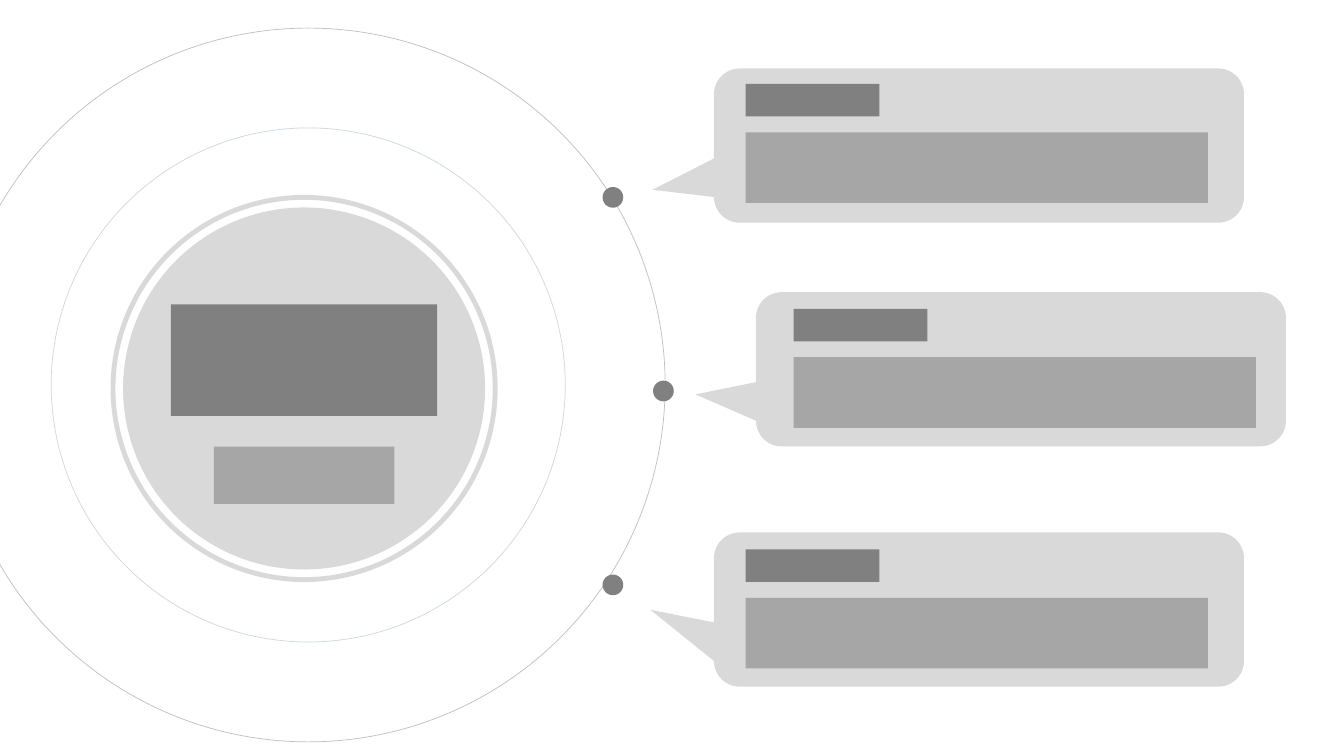
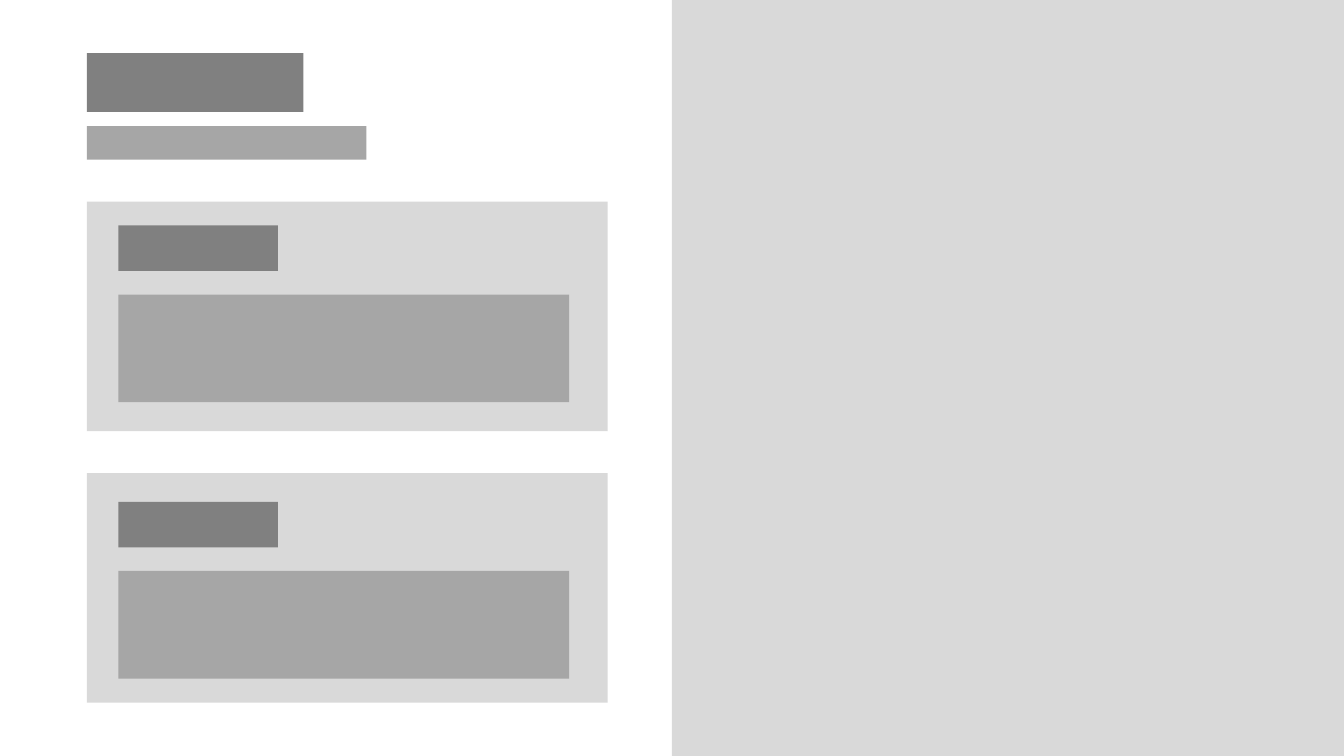
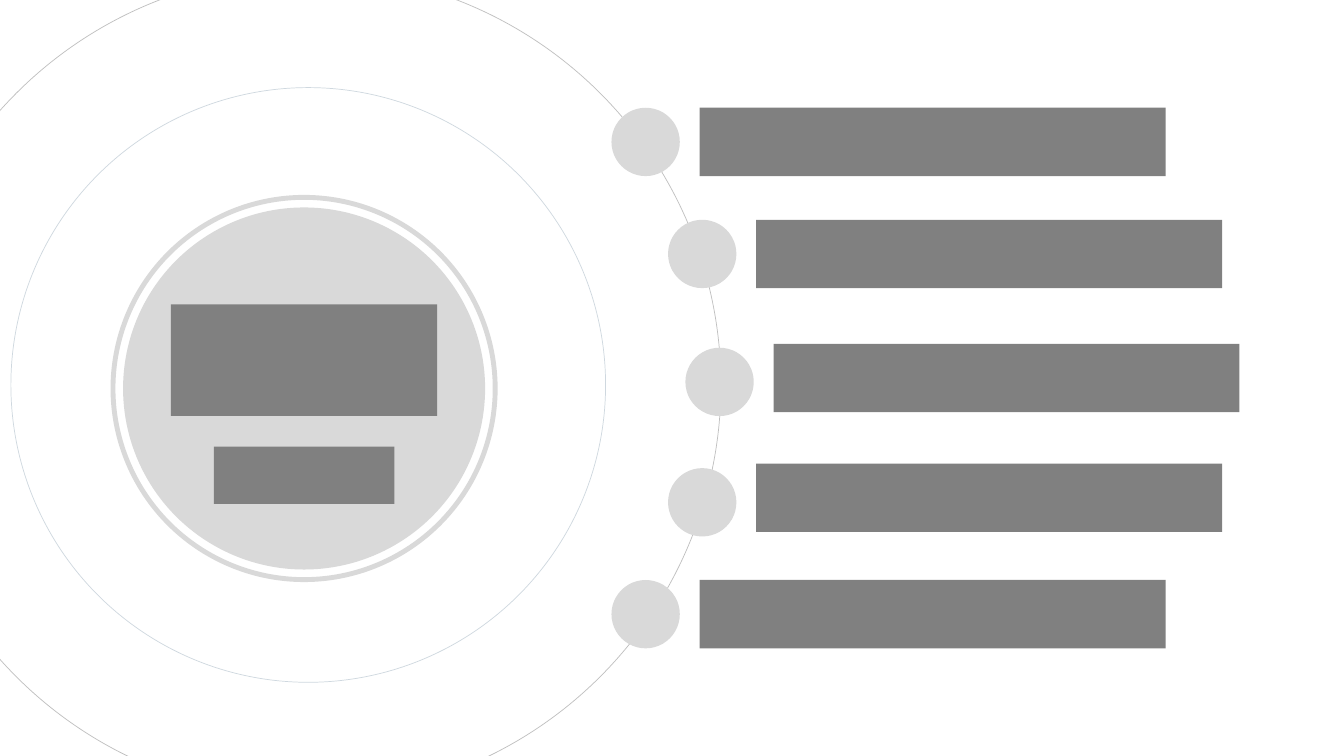
from pptx import Presentation
from pptx.dml.color import RGBColor
from pptx.enum.shapes import MSO_SHAPE
from pptx.util import Pt

# Shared colours
LIGHT = RGBColor(0xD9, 0xD9, 0xD9)
MID = RGBColor(0xA6, 0xA6, 0xA6)
DARK = RGBColor(0x80, 0x80, 0x80)
OUTER_LINE = RGBColor(0xBF, 0xBF, 0xBF)
INNER_LINE = RGBColor(0xCF, 0xD8, 0xDF)

WIDTH, HEIGHT = 960, 540

# Circle emblem: centres, and disc diameters
RING_CENTER = (220.2, 275)
DISC_CENTER = (217.2, 277.5)
RIM, DISC = 273, 258.6

# Slide 1: ring diameters, dots, callouts
CALLOUT_RINGS = (367.2, 509.8)
DOT = 14.8
DOT_CENTERS = [(437.8, 141), (473.9, 279.3), (437.8, 417.8)]
CALLOUT = (378.6, 110.2)
# left, top, pointer tip, inset of the heading
CALLOUTS = [
    (510, 48.9, (-0.616, 0.287), (22.6, 11.1)),
    (540, 208.7, (-0.614, 0.163), (26.9, 12)),
    (510, 380.3, (-0.62, 0.002), (22.6, 12.2)),
]

# Slide 2: cards as top and heading offset
MARGIN = 62
CARDS = [(144, 17), (338, 20.4)]

# Slide 3: ring diameters, then node left, node top, bar top
LIST_RINGS = (424.8, 589.6)
NODE = 48.8
BAR_WIDTH, BAR_OFFSET = 332.8, 63
ITEMS = [
    (436.8, 77, 77),
    (477.2, 157, 157),
    (489.6, 248.4, 245.7),
    (477.2, 334.4, 331.2),
    (436.8, 414.3, 414.3),
]


def add_shape(s, kind, x, y, w, h, fill=None, line=None, weight=0.5):
    sp = s.shapes.add_shape(kind, Pt(x), Pt(y), Pt(w), Pt(h))
    sp.shadow.inherit = False
    if fill is None:
        sp.fill.background()
    else:
        sp.fill.solid()
        sp.fill.fore_color.rgb = fill
    if line is None:
        sp.line.fill.background()
    else:
        sp.line.color.rgb = line
        sp.line.width = Pt(weight)
    return sp


def add_rect(s, x, y, w, h, fill):
    return add_shape(s, MSO_SHAPE.RECTANGLE, x, y, w, h, fill)


def add_circle(s, center, d, **style):
    x, y = center
    return add_shape(s, MSO_SHAPE.OVAL, x - d / 2, y - d / 2, d, d, **style)


def add_emblem(s, rings, subtitle_fill):
    for d, color in zip(rings, (INNER_LINE, OUTER_LINE)):
        add_circle(s, RING_CENTER, d, line=color)
    add_circle(s, DISC_CENTER, RIM, line=LIGHT, weight=3.5)
    add_circle(s, DISC_CENTER, DISC, fill=LIGHT)
    for y, w, h, fill in [(217.4, 190.2, 79.7, DARK), (319, 129, 41, subtitle_fill)]:
        add_rect(s, DISC_CENTER[0] - w / 2, y, w, h, fill)


def callout_slide(s):
    add_emblem(s, CALLOUT_RINGS, MID)
    for center in DOT_CENTERS:
        add_circle(s, center, DOT, fill=DARK)
    for x, y, tip, (dx, dy) in CALLOUTS:
        sp = add_shape(s, MSO_SHAPE.ROUNDED_RECTANGULAR_CALLOUT, x, y, *CALLOUT, LIGHT)
        for i, value in enumerate((*tip, 0.167)):
            sp.adjustments[i] = value
        add_rect(s, x + dx, y + dy, 95.5, 23.2, DARK)
        add_rect(s, x + dx, y + dy + 34.5, 330.3, 50.4, MID)


def card_slide(s):
    # Right half and heading
    add_rect(s, WIDTH / 2, 0, WIDTH / 2, HEIGHT, LIGHT)
    add_rect(s, MARGIN, 38, 154.8, 41.9, DARK)
    add_rect(s, MARGIN, 90, 199.8, 24, MID)
    # Cards
    for y, dy in CARDS:
        add_rect(s, MARGIN, y, 372, 164, LIGHT)
        add_rect(s, MARGIN + 22.5, y + dy, 114, 32.5, DARK)
        add_rect(s, MARGIN + 22.5, y + dy + 49.4, 322, 76.9, MID)


def list_slide(s):
    add_emblem(s, LIST_RINGS, DARK)
    for x, node_y, bar_y in ITEMS:
        add_shape(s, MSO_SHAPE.OVAL, x, node_y, NODE, NODE, LIGHT)
        add_rect(s, x + BAR_OFFSET, bar_y, BAR_WIDTH, NODE, DARK)


def main():
    prs = Presentation()
    prs.slide_width, prs.slide_height = Pt(WIDTH), Pt(HEIGHT)
    for build in (callout_slide, card_slide, list_slide):
        build(prs.slides.add_slide(prs.slide_layouts[6]))
    prs.save("out.pptx")


if __name__ == "__main__":
    main()
